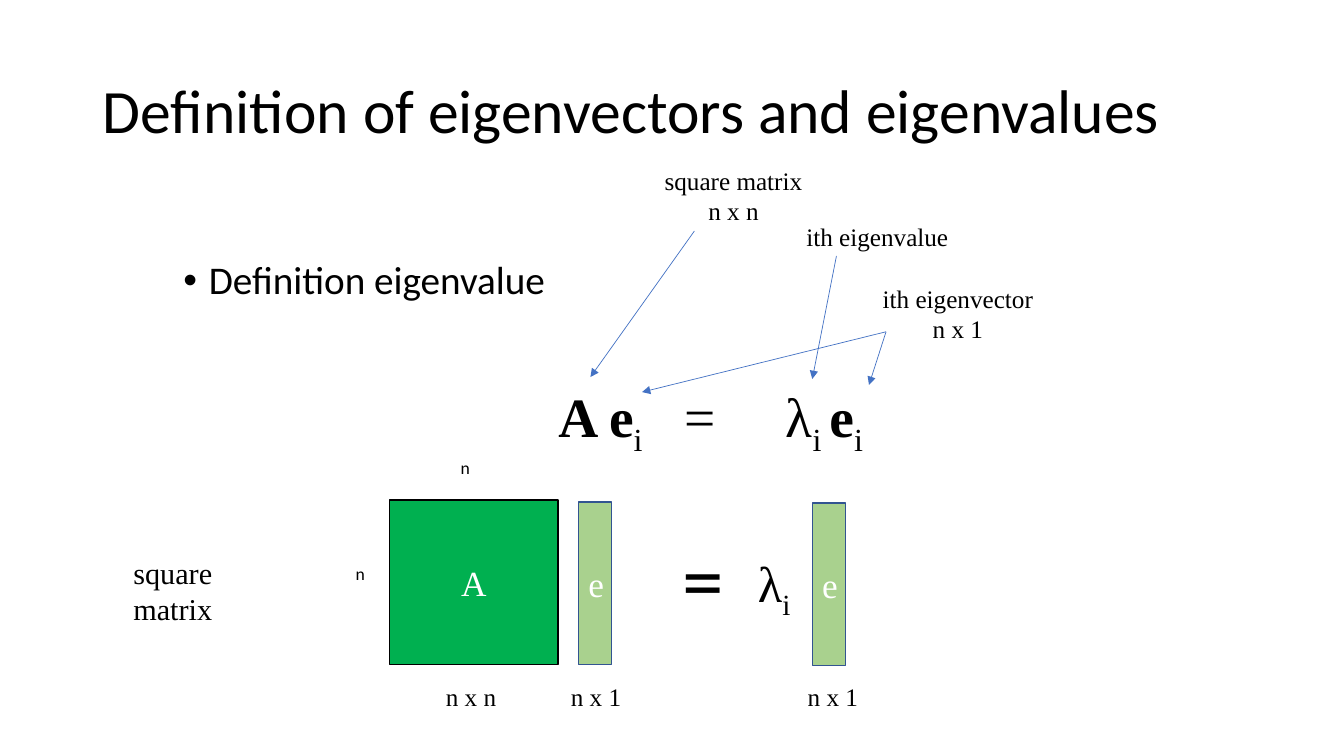
from lxml import etree
from pptx import Presentation
from pptx.dml.color import RGBColor
from pptx.enum import shapes, text
from pptx.oxml.ns import qn
from pptx.util import Cm, Pt

THEME = {
    "sans": "Calibri", "serif": "Times New Roman",
    "ink": "000000", "light": "FFFFFF", "matrix": "00B050",
    "vector": "A9D18E", "edge": "325491", "arrow": "4472C4",
    "title": 44, "body": 28, "label": 18, "side": 21.6, "dim": 12.6,
    "block": 25.2, "equals": 59.4, "formula": 39.6, "lambda": 36,
}
CENTER, LEFT = text.PP_ALIGN.CENTER, text.PP_ALIGN.LEFT


def rgb(name):
    return RGBColor.from_string(THEME[name])


def style(tf, size, font="serif", color="ink", align=CENTER):
    for p in tf.paragraphs:
        p.alignment = align
        for r in p.runs:
            r.font.size = Pt(THEME[size])
            r.font.name = THEME[font]
            r.font.color.rgb = rgb(color)


prs = Presentation()
prs.slide_width, prs.slide_height = Cm(33.87), Cm(19.05)
s = prs.slides.add_slide(prs.slide_layouts[1])

title, body = s.shapes.title, s.placeholders[1]
for sp, box, words, size in (
    (title, (2.34, 1.02, 29.21, 3.68), "Definition of eigenvectors and eigenvalues", "title"),
    (body, (4.37, 6.45, 10.21, 1.78), "Definition eigenvalue", "body"),
):
    sp.left, sp.top, sp.width, sp.height = map(Cm, box)
    tf = sp.text_frame
    tf.text = words
    tf.auto_size = text.MSO_AUTO_SIZE.NONE
    tf.paragraphs[0].line_spacing = 0.9
    style(tf, size, "sans", align=LEFT)
title.text_frame.vertical_anchor = text.MSO_ANCHOR.MIDDLE
p = body.text_frame.paragraphs[0]
p.space_before = Pt(10)
pPr = p._p.get_or_add_pPr()
pPr.set("marL", str(Cm(0.64)))
pPr.set("indent", str(-Cm(0.64)))
etree.SubElement(pPr, qn("a:buFont")).set("typeface", "Arial")
etree.SubElement(pPr, qn("a:buChar")).set("char", "•")

caption_top, caption_width, caption_height = 17.04, 1.8, 1.02
labels = [
    ("square matrix\nn x n", 16.48, 4.04, 4.01, 1.8, "label", "serif"),
    ("ith eigenvector\nn x 1", 21.97, 7.01, 4.34, 1.8, "label", "serif"),
    ("ith eigenvalue", 20.04, 5.44, 4.14, 1.02, "label", "serif"),
    ("n", 8.71, 14.07, 0.74, 0.79, "dim", "sans"),
    ("n", 10.95, 11.4, 1.55, 0.79, "dim", "sans"),
    ("square\nmatrix", 3.1, 13.84, 2.51, 2.11, "side", "serif"),
    ("=", 16.94, 13.16, 1.57, 2.79, "equals", "sans"),
]
blocks = [
    ("A", 9.82, 12.6, 4.24, 4.14, "matrix", "ink", "n x n", 10.97),
    ("e", 14.58, 12.65, 0.84, 4.09, "vector", "edge", "n x 1", 14.12),
    ("e", 20.47, 12.68, 0.84, 4.09, "vector", "edge", "n x 1", 20.09),
]
for name, x, y, w, h, fill, edge, caption, caption_left in blocks:
    sp = s.shapes.add_shape(shapes.MSO_SHAPE.RECTANGLE, Cm(x), Cm(y), Cm(w), Cm(h))
    sp.shadow.inherit = False
    sp.fill.solid()
    sp.fill.fore_color.rgb = rgb(fill)
    sp.line.color.rgb = rgb(edge)
    sp.line.width = Pt(1)
    sp.text_frame.text = name
    style(sp.text_frame, "block", color="light")
    labels.append((caption, caption_left, caption_top, caption_width, caption_height, "label", "serif"))

for words, x, y, w, h, size, font in labels:
    tf = s.shapes.add_textbox(Cm(x), Cm(y), Cm(w), Cm(h)).text_frame
    tf.word_wrap = False
    tf.text = words
    style(tf, size, font)

formulas = [
    ((13.82, 9.5, 8.48, 1.96), "formula", (3.18, 5.73), [
        ("A e", "bold"), ("i", "sub"), ("\t=\tλ", ""),
        ("i ", "sub"), ("e", "bold"), ("i", "sub")]),
    ((18.85, 13.79, 1.6, 1.8), "lambda", (), [("λ", ""), ("i", "sub")]),
]
for box, size, stops, parts in formulas:
    tf = s.shapes.add_textbox(*map(Cm, box)).text_frame
    tf.word_wrap = False
    p = tf.paragraphs[0]
    for words, kind in parts:
        r = p.add_run()
        r.text = words
        r.font.bold = kind == "bold"
        if kind == "sub":
            r._r.get_or_add_rPr().set("baseline", "-25000")
    style(tf, size, align=LEFT)
    if stops:
        tabs = etree.SubElement(p._p.get_or_add_pPr(), qn("a:tabLst"))
        for stop in stops:
            etree.SubElement(tabs, qn("a:tab"), pos=str(Cm(stop)), algn="l")

eigenvector_tail = (22.33, 8.36)
arrows = [
    ((17.5, 5.82), (14.88, 9.5)),
    ((21.08, 6.45), (20.47, 9.55)),
    (eigenvector_tail, (21.9, 9.7)),
    (eigenvector_tail, (16.18, 9.88)),
]
for start, end in arrows:
    arrow = s.shapes.add_connector(shapes.MSO_CONNECTOR.STRAIGHT, *map(Cm, start + end))
    arrow.line.color.rgb = rgb("arrow")
    arrow.line.width = Pt(0.5)
    etree.SubElement(arrow.line._get_or_add_ln(), qn("a:tailEnd")).set("type", "triangle")
    etree.SubElement(arrow._element.spPr, qn("a:effectLst"))

prs.save("out.pptx")
